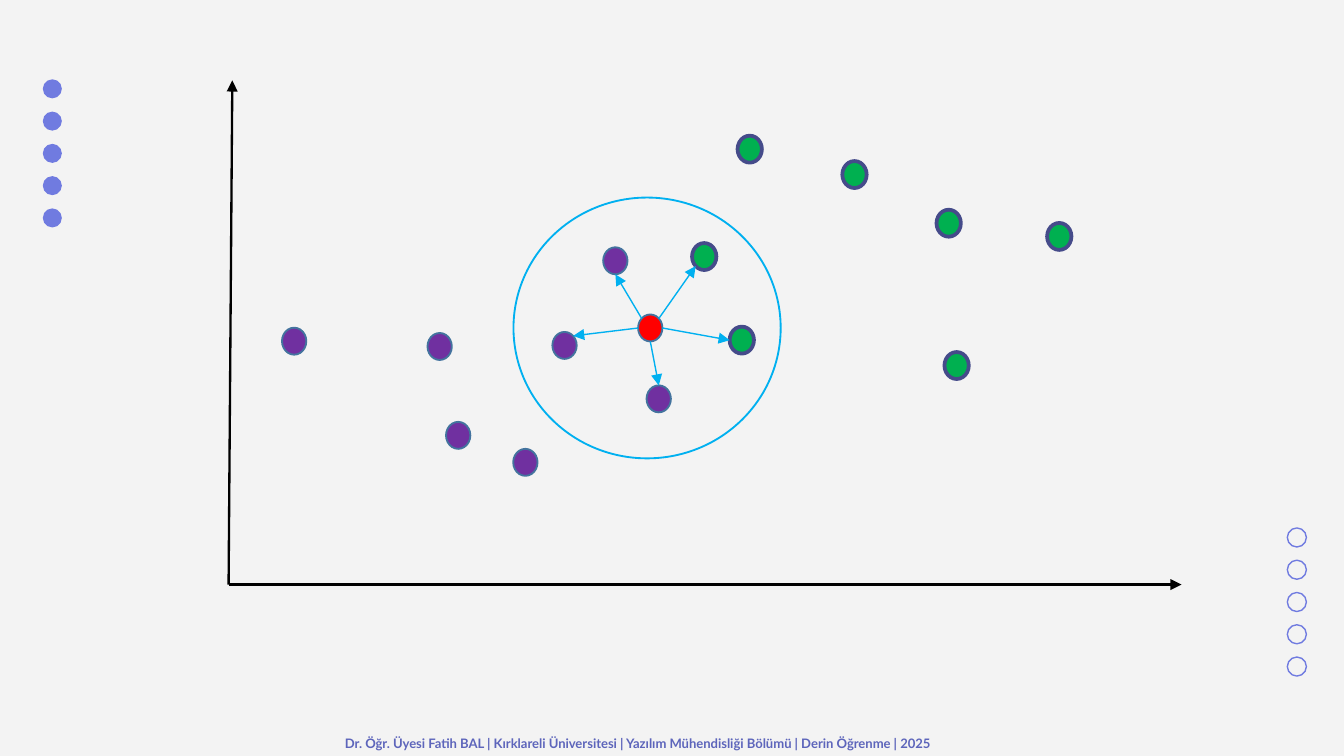
import math

import pptx
import pptx.dml.color
import pptx.enum.shapes
import pptx.enum.text
import pptx.oxml.ns
import pptx.util
from lxml import etree

Cm, Pt = pptx.util.Cm, pptx.util.Pt

# Content: all lengths in cm, points given by their centres
COLORS = {
    "background": "F3F3F3", "decoration": "707BE0", "footer": "5D65BB",
    "axis": "000000", "neighbourhood": "00B0F0", "query": "FF0000",
    "purple": "7030A0", "purple_edge": "43739E",
    "green": "00B050", "green_edge": "454B8A",
}
FOOTER = ("Dr. Öğr. Üyesi Fatih BAL | Kırklareli Üniversitesi | "
          "Yazılım Mühendisliği Bölümü | Derin Öğrenme | 2025")

ORIGIN = (4.32, 11.05)
AXIS_ENDS = [(4.39, 1.52), (22.33, 11.05)]

POINT_SIZE = (0.46, 0.51)
QUERY = (12.29, 6.20)
FAR_POINTS = {
    "purple": [(5.56, 6.45), (9.93, 8.74), (8.31, 6.55), (8.66, 8.23)],
    "green": [(14.17, 2.82), (18.08, 6.91), (16.15, 3.30),
              (17.93, 4.22), (20.02, 4.47)],
}
# Class, centre, angle where the arrow leaves the query, angle where it arrives
NEIGHBOURS = [
    ("green", (13.31, 4.85), 45, 225),
    ("green", (14.02, 6.43), 0, 180),
    ("purple", (12.45, 7.54), 270, 90),
    ("purple", (10.67, 6.53), 180, 45),
    ("purple", (11.63, 4.93), 135, 270),
]
EDGE_WIDTHS = {"purple": 1, "green": 2}
NEIGHBOURHOOD = ((12.23, 6.20), (5.05, 4.93))

DECORATION_COUNT, DECORATION_STEP, DECORATION_SIZE = 5, 0.61, (0.36, 0.36)
HOLLOW_TOP, FILLED_TOP = (24.51, 10.16), (0.99, 1.68)

prs = pptx.Presentation()
prs.slide_width, prs.slide_height = Cm(25.4), Cm(14.29)
slide = prs.slides.add_slide(prs.slide_layouts[6])


def rgb(name):
    return pptx.dml.color.RGBColor.from_string(COLORS[name])


def add_ellipse(centre, size, fill=None, edge=None, width=1):
    (x, y), (w, h) = centre, size
    ellipse = slide.shapes.add_shape(
        pptx.enum.shapes.MSO_SHAPE.OVAL,
        Cm(x - w / 2), Cm(y - h / 2), Cm(w), Cm(h))
    ellipse.shadow.inherit = False
    if fill:
        ellipse.fill.solid()
        ellipse.fill.fore_color.rgb = rgb(fill)
    else:
        ellipse.fill.background()
    if edge:
        ellipse.line.color.rgb = rgb(edge)
        ellipse.line.width = Pt(width)
    else:
        ellipse.line.fill.background()


def add_arrow(start, end, color, width):
    arrow = slide.shapes.add_connector(
        pptx.enum.shapes.MSO_CONNECTOR.STRAIGHT,
        *(Cm(value) for value in start + end))
    arrow.line.color.rgb = rgb(color)
    arrow.line.width = Pt(width)
    qn = pptx.oxml.ns.qn
    etree.SubElement(arrow.line._get_or_add_ln(), qn("a:tailEnd"), type="triangle")
    etree.SubElement(arrow._element.spPr, qn("a:effectLst"))


def add_text(text, left, top, width, height, *, size, color, font="Lato",
             bold=False, inset=0.25, spacing=1.15):
    box = slide.shapes.add_textbox(Cm(left), Cm(top), Cm(width), Cm(height))
    frame = box.text_frame
    frame.word_wrap = True
    frame.vertical_anchor = pptx.enum.text.MSO_ANCHOR.MIDDLE
    frame.margin_left = frame.margin_right = Cm(inset)
    frame.margin_top = frame.margin_bottom = Cm(inset)
    paragraph = frame.paragraphs[0]
    paragraph.line_spacing = spacing
    run = paragraph.add_run()
    run.text = text
    run.font.name, run.font.size, run.font.bold = font, Pt(size), bold
    run.font.color.rgb = rgb(color)


def rim(centre, degrees):
    """Place on the rim of a data point, counted anticlockwise from the right."""
    angle = math.radians(degrees)
    return (centre[0] + POINT_SIZE[0] / 2 * math.cos(angle),
            centre[1] - POINT_SIZE[1] / 2 * math.sin(angle))


def add_point(group, centre):
    add_ellipse(centre, POINT_SIZE, group, group + "_edge", EDGE_WIDTHS[group])


# Background and decorative columns
slide.background.fill.solid()
slide.background.fill.fore_color.rgb = rgb("background")
for (x, top), style in [(HOLLOW_TOP, {"edge": "decoration", "width": 0.75}),
                        (FILLED_TOP, {"fill": "decoration"})]:
    for row in range(DECORATION_COUNT):
        add_ellipse((x, top + row * DECORATION_STEP), DECORATION_SIZE, **style)

# Footer
add_text(FOOTER, 6.27, 13.77, 12.85, 0.51, size=7, color="footer", bold=True)

# Axes
for axis_end in AXIS_ENDS:
    add_arrow(ORIGIN, axis_end, "axis", 1.25)

# Data points and the query point
for group, centres in FAR_POINTS.items():
    for centre in centres:
        add_point(group, centre)
for group, centre, _, _ in NEIGHBOURS:
    add_point(group, centre)
add_ellipse(QUERY, POINT_SIZE, "query", "purple_edge")

# Neighbourhood circle and arrows to the nearest neighbours
add_ellipse(*NEIGHBOURHOOD, edge="neighbourhood")
for _, centre, leave, arrive in NEIGHBOURS:
    add_arrow(rim(QUERY, leave), rim(centre, arrive), "neighbourhood", 0.75)

prs.save("out.pptx")
